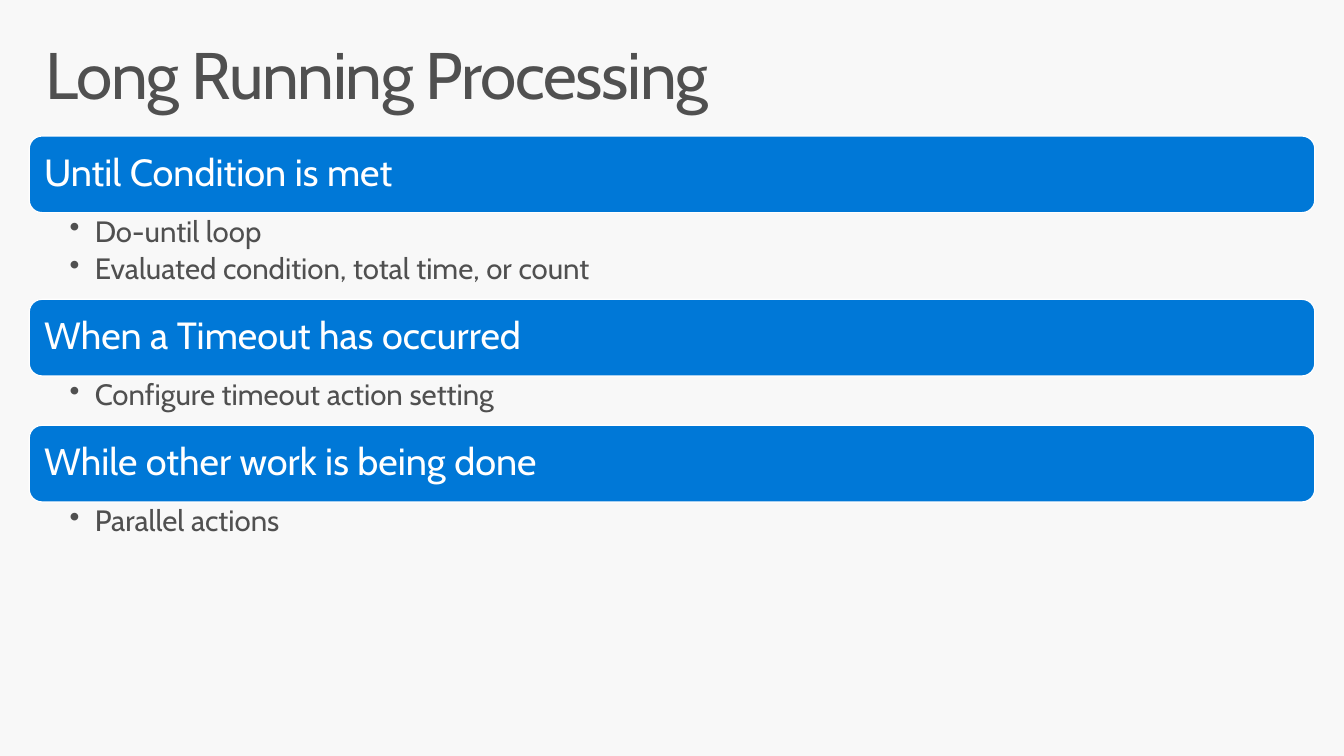
from lxml.etree import SubElement
from pptx import Presentation
from pptx.dml.color import RGBColor
from pptx.enum.shapes import MSO_SHAPE as Shape
from pptx.enum.text import MSO_ANCHOR as Anchor, MSO_AUTO_SIZE as Fit, PP_ALIGN as Align
from pptx.oxml.ns import qn
from pptx.util import Inches, Pt

COLORS = {"back": "F8F8F8", "text": "505050", "bar": "0078D7", "white": "FFFFFF"}
TOPICS = [
    ("Until Condition is met",
     ["Do-until loop", "Evaluated condition, total time, or count"]),
    ("When a Timeout has occurred", ["Configure timeout action setting"]),
    ("While other work is being done", ["Parallel actions"]),
]
LEFT, WIDTH = 0.29, 12.75
BAR, LINE, PAD = 0.76, 0.37, 0.12


def color(name):
    return RGBColor.from_string(COLORS[name])


def set_frame(frame, insets, anchor):
    frame.word_wrap = True
    frame.auto_size = Fit.NONE
    frame.vertical_anchor = anchor
    left, top, right, bottom = map(Inches, insets)
    frame.margin_left, frame.margin_top = left, top
    frame.margin_right, frame.margin_bottom = right, bottom


def style(para, size, shade, after=0):
    para.alignment = Align.LEFT
    para.line_spacing = 0.9
    para.space_after = Pt(after)
    para.font.name = "Cabin"
    para.font.size = Pt(size)
    para.font.color.rgb = color(shade)


def add_title(slide, left, top, width, height):
    title = slide.shapes.title
    title.left, title.top = Inches(left), Inches(top)
    title.width, title.height = Inches(width), Inches(height)
    frame = title.text_frame
    set_frame(frame, (0.16, 0.1, 0.16, 0.1), Anchor.TOP)
    para = frame.paragraphs[0]
    run = para.add_run()
    run.text = "Long Running Processing"
    run._r.get_or_add_rPr().set("spc", "-100")
    style(para, 47, "text")


def add_bar(slide, text, left, top, width, height):
    bar = slide.shapes.add_shape(
        Shape.ROUNDED_RECTANGLE, Inches(left), Inches(top), Inches(width), Inches(height))
    bar.shadow.inherit = False
    bar.fill.solid()
    bar.fill.fore_color.rgb = color("bar")
    bar.line.color.rgb = color("white")
    bar.line.width = Pt(0.85)
    frame = bar.text_frame
    set_frame(frame, (0.11,) * 4, Anchor.MIDDLE)
    frame.text = text
    style(frame.paragraphs[0], 27, "white")


def add_points(slide, points, left, top, width, height):
    box = slide.shapes.add_textbox(Inches(left), Inches(top), Inches(width), Inches(height))
    frame = box.text_frame
    set_frame(frame, (0.4, 0.04, 0.21, 0.04), Anchor.TOP)
    frame.text = "\n".join(points)
    for para in frame.paragraphs:
        para.level = 1
        props = para._p.get_or_add_pPr()
        props.set("marL", str(Inches(0.25)))
        props.set("indent", str(Inches(-0.25)))
        SubElement(props, qn("a:buChar")).set("char", "•")
        style(para, 21, "text", 4.2)


def add_topics(slide, left, top, width):
    for head, points in TOPICS:
        add_bar(slide, head, left, top, width, BAR)
        top += BAR
        height = PAD + LINE * len(points)
        add_points(slide, points, left, top, width, height)
        top += height


def main():
    deck = Presentation()
    deck.slide_width, deck.slide_height = Inches(13.33), Inches(7.5)
    slide = deck.slides.add_slide(deck.slide_layouts[5])
    slide.background.fill.solid()
    slide.background.fill.fore_color.rgb = color("back")
    add_title(slide, LEFT, 0.32, WIDTH, 0.98)
    add_topics(slide, LEFT, 1.35, WIDTH)
    deck.save("out.pptx")


if __name__ == "__main__":
    main()
